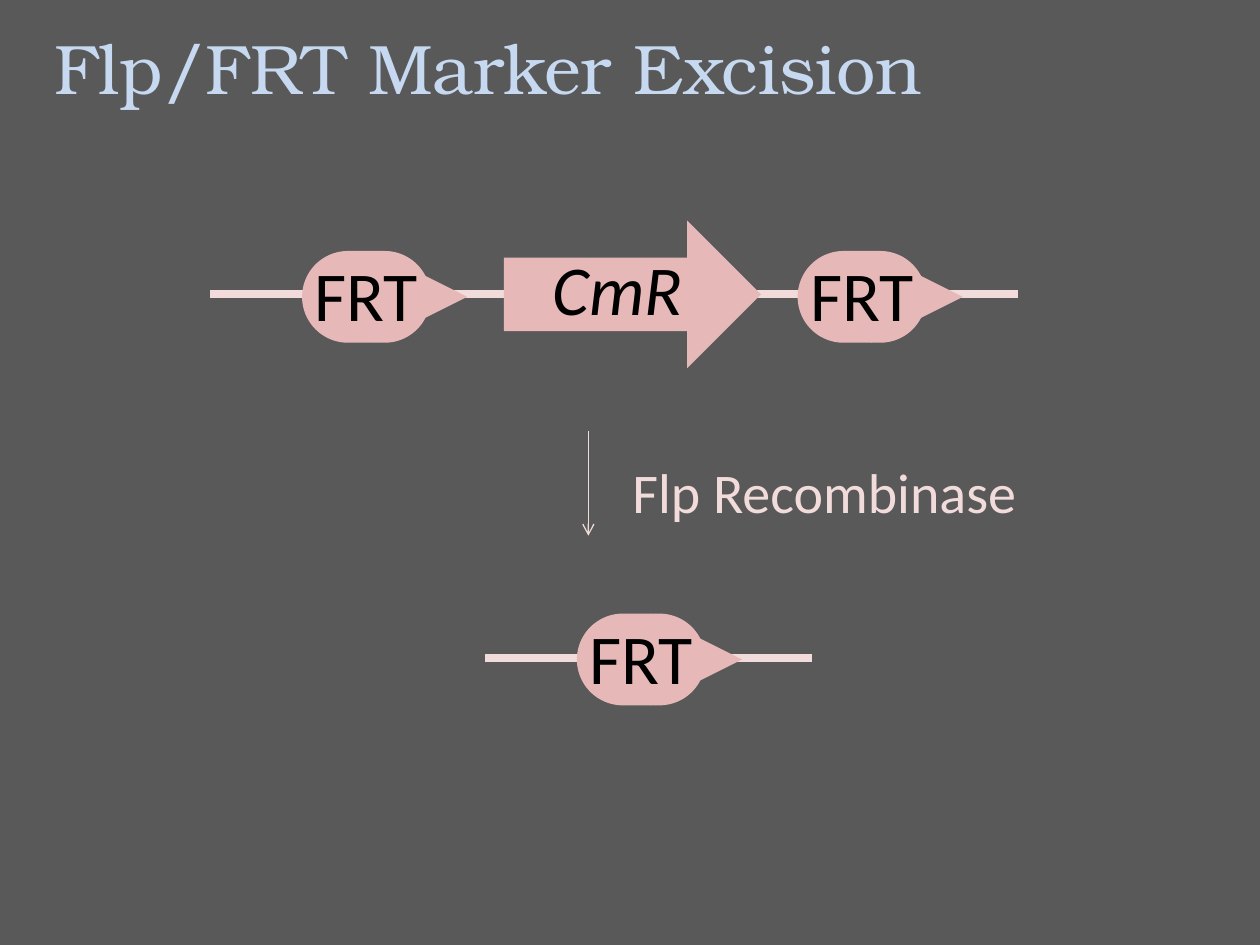
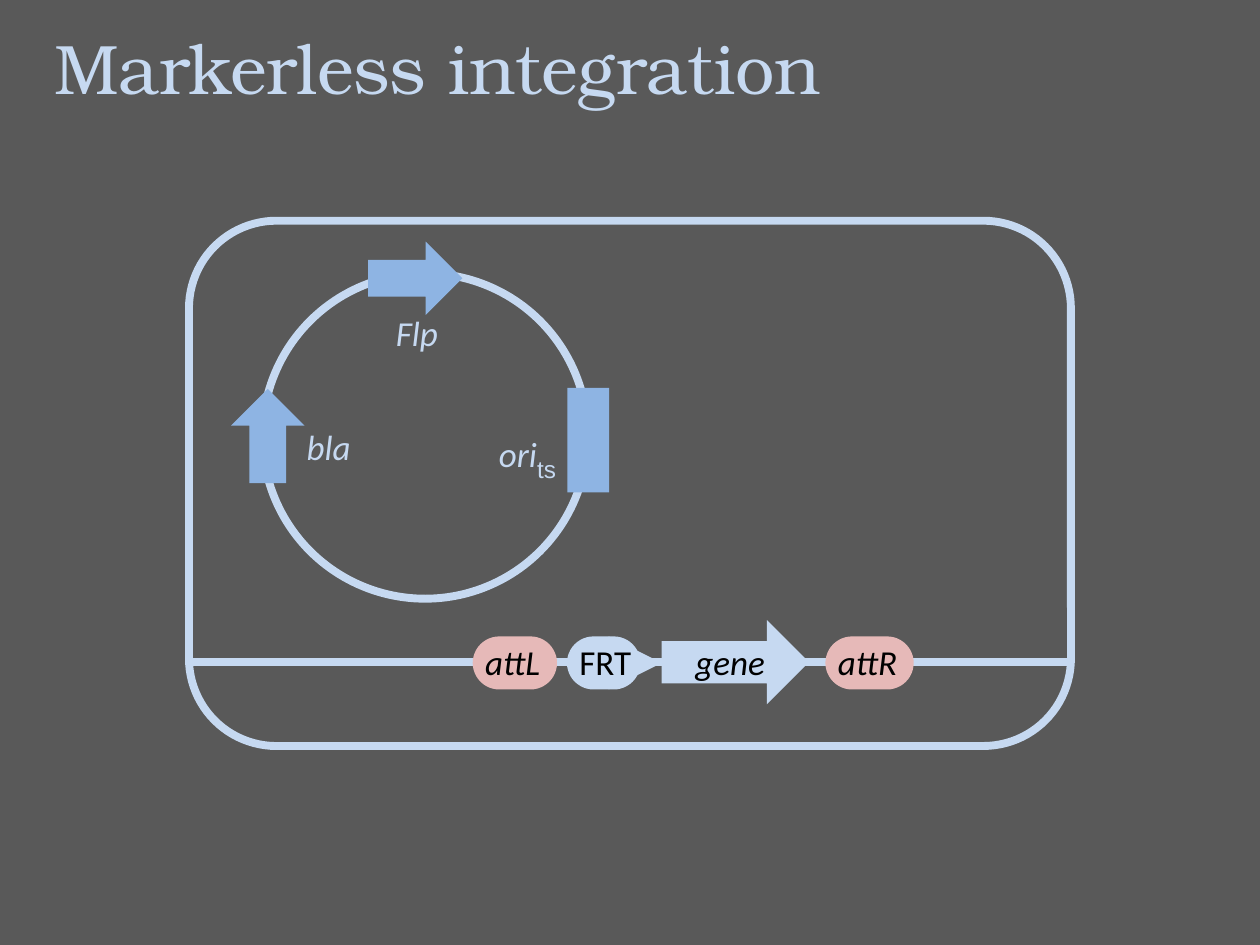
from dataclasses import dataclass

from lxml import etree
from pptx import Presentation
from pptx.dml.color import RGBColor
from pptx.enum.shapes import MSO_CONNECTOR, MSO_SHAPE
from pptx.enum.text import MSO_ANCHOR, MSO_AUTO_SIZE, PP_ALIGN
from pptx.oxml.ns import qn
from pptx.util import Cm, Pt


@dataclass(frozen=True)
class Theme:
    background: str = "595959"
    pale_blue: str = "C6D9F1"
    mid_blue: str = "8EB4E3"
    pink: str = "E6B9B8"
    pale_pink: str = "F2DCDB"
    black: str = "000000"
    title_font: str = "TeX Gyre Bonum"
    body_font: str = "Calibri"
    subscript_font: str = "Arial"
    large: int = 40
    medium: int = 32
    small: int = 20
    subscript: int = 24
    heavy_line: float = 4.5
    thin_line: float = 0.75


@dataclass(frozen=True)
class Box:
    """A region in centimetres."""
    left: float
    top: float
    width: float
    height: float

    def inner(self, left, top, width, height):
        return Box(self.left + left, self.top + top, width, height)

    def lengths(self):
        return [Cm(value) for value in (self.left, self.top, self.width, self.height)]


THEME = Theme()
LABEL_HEIGHTS = {THEME.large: 1.96, THEME.medium: 1.63, THEME.small: 1.12}


# Basic parts

def add_text(paragraph, text, *, size, color, font=THEME.body_font, italic=False, baseline=None):
    run = paragraph.add_run()
    run.text = text
    run.font.name = font
    run.font.size = Pt(size)
    run.font.italic = italic
    run.font.bold = False
    run.font.color.rgb = RGBColor.from_string(color)
    if baseline is not None:
        run._r.get_or_add_rPr().set("baseline", str(baseline * 1000))


def add_label(slide, text, box, *, size, color, italic=False):
    """Place one unwrapped line of text and return its paragraph."""
    frame = slide.shapes.add_textbox(*box.lengths()).text_frame
    frame.word_wrap = False
    frame.auto_size = MSO_AUTO_SIZE.SHAPE_TO_FIT_TEXT
    paragraph = frame.paragraphs[0]
    add_text(paragraph, text, size=size, color=color, italic=italic)
    return paragraph


def add_figure(slide, kind, box, *, fill=None, outline=None, rotation=0):
    shape = slide.shapes.add_shape(kind, *box.lengths())
    shape.shadow.inherit = False
    shape.rotation = rotation
    if fill:
        shape.fill.solid()
        shape.fill.fore_color.rgb = RGBColor.from_string(fill)
    else:
        shape.fill.background()
    if outline:
        shape.line.color.rgb = RGBColor.from_string(outline)
        shape.line.width = Pt(THEME.heavy_line)
    else:
        shape.line.fill.background()
    return shape


def add_line(slide, start, end, *, color, width=THEME.heavy_line, arrow=False):
    points = [Cm(value) for value in (*start, *end)]
    connector = slide.shapes.add_connector(MSO_CONNECTOR.STRAIGHT, *points)
    connector.line.color.rgb = RGBColor.from_string(color)
    connector.line.width = Pt(width)
    properties = connector._element.spPr
    if arrow:
        etree.SubElement(properties.find(qn("a:ln")), qn("a:tailEnd"), type="arrow")
    etree.SubElement(properties, qn("a:effectLst"))


def add_strand(slide, box, offset, color):
    """Draw DNA across the whole width of a region."""
    height = box.top + offset
    add_line(slide, (box.left, height), (box.left + box.width, height), color=color)


def add_site(slide, text, box, label_width, *, size, fill, italic=False, pointed=False):
    """Draw a pill with a label on its lower edge; a pointed pill has a tip on the right."""
    pill = add_figure(slide, MSO_SHAPE.ROUNDED_RECTANGLE, box, fill=fill)
    pill.adjustments[0] = 0.5
    if pointed:
        side = box.height
        tip = box.inner(box.width - 0.6 * side, 0, side, side)
        add_figure(slide, MSO_SHAPE.ISOSCELES_TRIANGLE, tip, fill=fill, rotation=90)
    height = LABEL_HEIGHTS[size]
    label_box = box.inner(0, box.height - height, label_width, height)
    add_label(slide, text, label_box, size=size, color=THEME.black, italic=italic)


def add_title_slide(presentation, title):
    slide = presentation.slides.add_slide(presentation.slide_layouts.get_by_name("Title Only"))
    placeholder = slide.shapes.title
    placeholder.left, placeholder.top, placeholder.width, placeholder.height = (
        Box(0.84, 0.36, 23.93, 1.96).lengths())
    frame = placeholder.text_frame
    frame.auto_size = MSO_AUTO_SIZE.NONE
    frame.vertical_anchor = MSO_ANCHOR.TOP
    paragraph = frame.paragraphs[0]
    paragraph.alignment = PP_ALIGN.LEFT
    add_text(paragraph, title, size=THEME.large, color=THEME.pale_blue, font=THEME.title_font)
    return slide


# Marker excision regions

def add_large_frt(slide, box, left, top):
    add_site(slide, "FRT", box.inner(left, top, 2.59, 1.85), 2.62,
             size=THEME.large, fill=THEME.pink, pointed=True)


def add_marked_strand(slide, box):
    add_strand(slide, box, box.height / 2, THEME.pale_pink)
    add_figure(slide, MSO_SHAPE.RIGHT_ARROW, box.inner(5.92, 0, 5.18, box.height), fill=THEME.pink)
    add_label(slide, "CmR", box.inner(6.65, 0.38, 3.15, LABEL_HEIGHTS[THEME.large]),
              size=THEME.large, color=THEME.black, italic=True)
    for left in (1.85, 11.84):
        add_large_frt(slide, box, left, 0.61)


def add_reaction(slide, box):
    add_line(slide, (box.left, box.top), (box.left, box.top + box.height),
             color=THEME.pale_pink, width=THEME.thin_line, arrow=True)
    add_label(slide, "Flp Recombinase", box.inner(0.64, 0.4, 8.33, LABEL_HEIGHTS[THEME.medium]),
              size=THEME.medium, color=THEME.pale_pink)


def add_excised_strand(slide, box):
    add_strand(slide, box, 0.89, THEME.pale_pink)
    add_large_frt(slide, box, 1.85, 0)


def build_excision_slide(presentation):
    slide = add_title_slide(presentation, "Flp/FRT Marker Excision")
    add_marked_strand(slide, Box(4.24, 4.45, 16.28, 2.97))
    add_excised_strand(slide, Box(9.78, 12.37, 6.58, 1.85))
    add_reaction(slide, Box(11.86, 8.69, 8.97, 2.11))


# Markerless integration regions

def add_chromosome(slide, box):
    add_strand(slide, box, 0.84, THEME.pale_blue)
    sites = [
        ("attL", 5.72, 1.7, 1.65, THEME.pink, False),
        ("attR", 12.83, 1.78, 1.75, THEME.pink, False),
        ("FRT", 7.62, 1.48, 1.57, THEME.pale_blue, True),
    ]
    for text, left, width, label_width, fill, pointed in sites:
        add_site(slide, text, box.inner(left, 0.33, width, 1.07), label_width,
                 size=THEME.small, fill=fill, italic=not pointed, pointed=pointed)
    add_figure(slide, MSO_SHAPE.RIGHT_ARROW, box.inner(9.53, 0, 2.97, box.height),
               fill=THEME.pale_blue)
    add_label(slide, "gene", box.inner(9.96, 0.28, 1.93, LABEL_HEIGHTS[THEME.small]),
              size=THEME.small, color=THEME.black, italic=True)


def add_plasmid(slide, box):
    add_figure(slide, MSO_SHAPE.OVAL, box, outline=THEME.pale_blue)
    # Each gene: shape, its box, its turn, then its name and the name's box
    genes = [
        (MSO_SHAPE.RIGHT_ARROW, (2.13, -0.64, 1.9, 1.48), 0, "Flp", (2.44, 0.64, 1.37)),
        (MSO_SHAPE.RIGHT_ARROW, (-0.84, 2.54, 1.9, 1.48), 270, "bla", (0.64, 2.95, 1.4)),
        (MSO_SHAPE.RECTANGLE, (6.15, 2.31, 0.84, 2.11), 0, "ori", (4.52, 2.95, 1.73)),
    ]
    for kind, place, rotation, name, label_place in genes:
        add_figure(slide, kind, box.inner(*place), fill=THEME.mid_blue, rotation=rotation)
        paragraph = add_label(slide, name, box.inner(*label_place, LABEL_HEIGHTS[THEME.small]),
                              size=THEME.small, color=THEME.pale_blue, italic=True)
        if name == "ori":
            add_text(paragraph, "ts", size=THEME.subscript, color=THEME.pale_blue,
                     font=THEME.subscript_font, baseline=-25)


def build_integration_slide(presentation):
    slide = add_title_slide(presentation, "Markerless integration")
    cell = Box(3.81, 4.45, 17.78, 10.59)
    add_figure(slide, MSO_SHAPE.ROUNDED_RECTANGLE, cell, outline=THEME.pale_blue)
    add_chromosome(slide, cell.inner(0, 8.05, cell.width, 1.7))
    add_plasmid(slide, cell.inner(1.48, 1.06, 6.56, 6.56))


def main():
    presentation = Presentation()
    presentation.slide_width, presentation.slide_height = Cm(25.4), Cm(19.05)
    background = presentation.slide_master.background.fill
    background.solid()
    background.fore_color.rgb = RGBColor.from_string(THEME.background)
    build_excision_slide(presentation)
    build_integration_slide(presentation)
    presentation.save("out.pptx")


if __name__ == "__main__":
    main()
